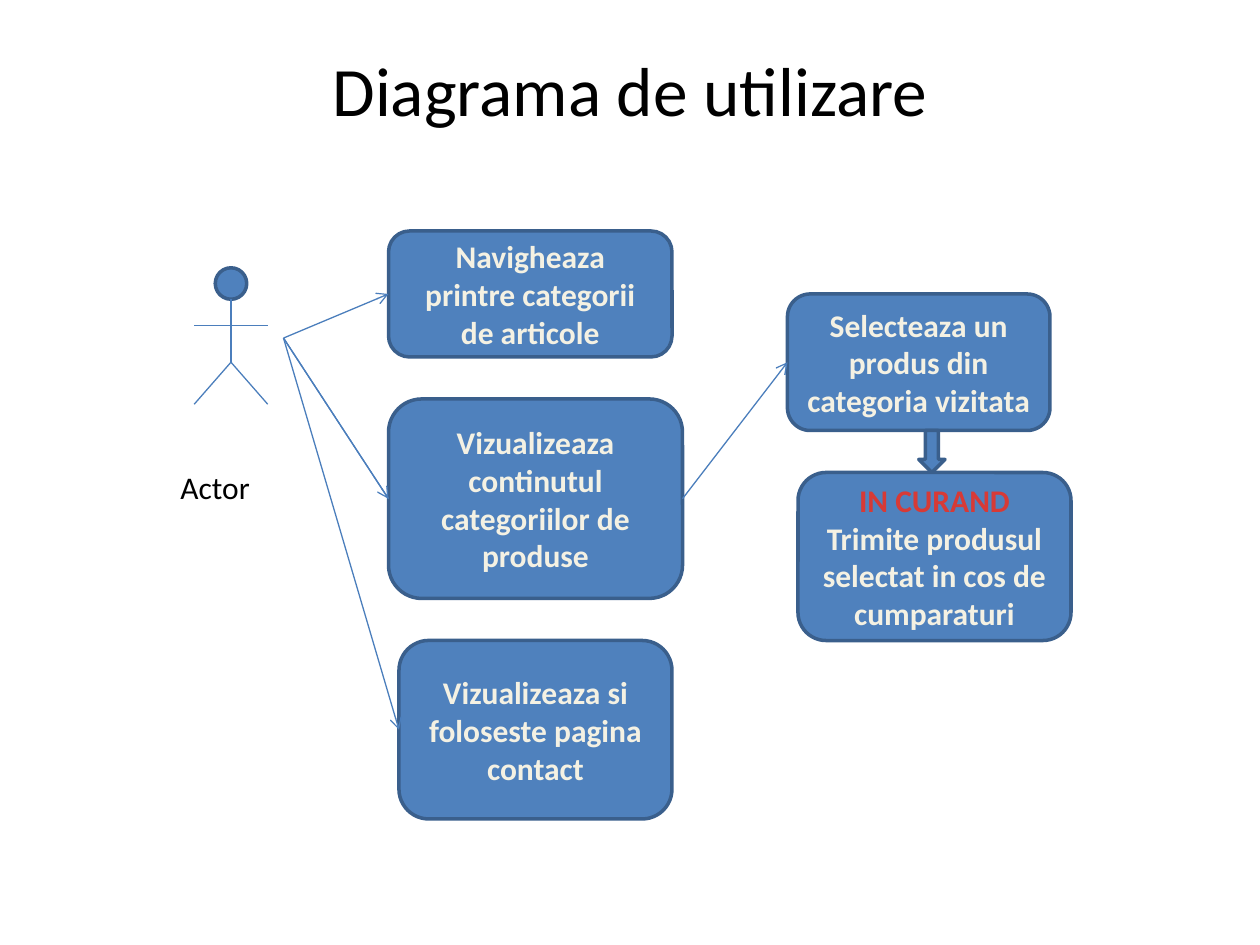
from dataclasses import dataclass

from lxml.etree import SubElement
from pptx import Presentation
from pptx.dml.color import RGBColor
from pptx.enum.shapes import MSO_CONNECTOR as Conn, MSO_SHAPE as Kind
from pptx.enum.text import MSO_ANCHOR as Anchor, PP_ALIGN as Align
from pptx.oxml.ns import qn
from pptx.util import Inches, Length, Pt

HUES = {"fill": "4F81BD", "edge": "3A5F8C", "line": "4B7EBC",
        "pale": "F4F1E3", "red": "D73A36", "ink": "000000"}
CELLS = 12  # grid cells to the inch


@dataclass(frozen=True)
class Box:
    """A rectangle in grid cells, with its (text, hue) paragraphs."""
    x: float
    y: float
    w: float
    h: float
    lines: tuple[tuple[str, str], ...] = ()

    @property
    def left(self) -> tuple[float, float]:
        """Middle of the left side."""
        return self.x, self.y + self.h / 2

    @property
    def right(self) -> tuple[float, float]:
        """Middle of the right side."""
        return self.x + self.w, self.y + self.h / 2


@dataclass(frozen=True)
class Link:
    """A straight line between two grid points."""
    start: tuple[float, float]
    end: tuple[float, float]
    arrow: bool = False


def cell(n: float) -> Length:
    """Turn grid cells into a length."""
    return Inches(n / CELLS)


def place(box: Box) -> list[Length]:
    """Give left, top, width and height of a box."""
    return [cell(n) for n in (box.x, box.y, box.w, box.h)]


def tint(name: str) -> RGBColor:
    """Look up a colour."""
    return RGBColor.from_string(HUES[name])


def write(frame, lines, *, size: float = 18, bold: bool = False,
          align=Align.CENTER, anchor=Anchor.MIDDLE, wrap: bool = True) -> None:
    """Fill a text frame with (text, hue) paragraphs."""
    frame.word_wrap = wrap
    frame.vertical_anchor = anchor
    for i, (text, hue) in enumerate(lines):
        para = frame.add_paragraph() if i else frame.paragraphs[0]
        para.alignment = align
        run = para.add_run()
        run.text = text
        font = run.font
        font.name, font.size, font.bold = "Calibri", Pt(size), bold
        font.color.rgb = tint(hue)


def draw(kind: Kind, box: Box) -> None:
    """Draw a filled shape with its text."""
    shape = slide.shapes.add_shape(kind, *place(box))
    shape.shadow.inherit = False
    shape.fill.solid()
    shape.fill.fore_color.rgb = tint("fill")
    shape.line.color.rgb = tint("edge")
    shape.line.width = Pt(2)
    if box.lines:
        write(shape.text_frame, box.lines, bold=True)


def label(box: Box, **style) -> None:
    """Draw a plain text box."""
    write(slide.shapes.add_textbox(*place(box)).text_frame, box.lines, **style)


def join(link: Link) -> None:
    """Draw a line, with an arrowhead if asked for."""
    ends = [cell(n) for n in (*link.start, *link.end)]
    line = slide.shapes.add_connector(Conn.STRAIGHT, *ends)
    line.line.color.rgb = tint("line")
    line.line.width = Pt(0.75)
    if link.arrow:
        SubElement(line.line._get_or_add_ln(), qn("a:tailEnd"), type="arrow")
    SubElement(line._element.spPr, qn("a:effectLst"))


deck = Presentation()
deck.slide_width, deck.slide_height = Inches(10), Inches(7.5)
slide = deck.slides.add_slide(deck.slide_layouts[6])

browse = Box(37, 22, 27, 12,
             (("Navigheaza printre categorii de articole", "pale"),))
view = Box(37, 38, 28, 19,
           (("Vizualizeaza continutul categoriilor de produse", "pale"),))
contact = Box(38, 61, 26, 17,
              (("Vizualizeaza si foloseste pagina contact", "pale"),))
pick = Box(75, 28, 25, 13,
           (("Selecteaza un produs din categoria vizitata", "pale"),))
cart = Box(76, 45, 26, 16,
           (("IN CURAND", "red"),
            ("Trimite produsul selectat in cos de cumparaturi", "pale")))

neck, hip, hand = (22, 28.5), (22, 34.5), (27, 32.2)
feet = [(18.5, 38.5), (25.5, 38.5)]
body = [Link(neck, hip), *(Link(hip, foot) for foot in feet),
        Link((18.5, 31), (25.5, 31))]
flows = [Link(hand, view.left), Link(view.right, pick.left, True),
         *(Link(hand, goal.left, True) for goal in (browse, view, contact))]

label(Box(9, 5.5, 102, 6, (("Diagrama de utilizare", "ink"),)), size=39.6)
draw(Kind.OVAL, Box(20.5, 25.5, 3, 3))
for case in (browse, view, pick, cart, contact):
    draw(Kind.ROUNDED_RECTANGLE, case)
draw(Kind.DOWN_ARROW, Box(87.5, 41, 2.5, 4))
for link in body + flows:
    join(link)
label(Box(16, 44, 9, 8.5, (("Actor", "ink"),)),
      align=Align.LEFT, anchor=Anchor.TOP, wrap=False)

deck.save("out.pptx")
